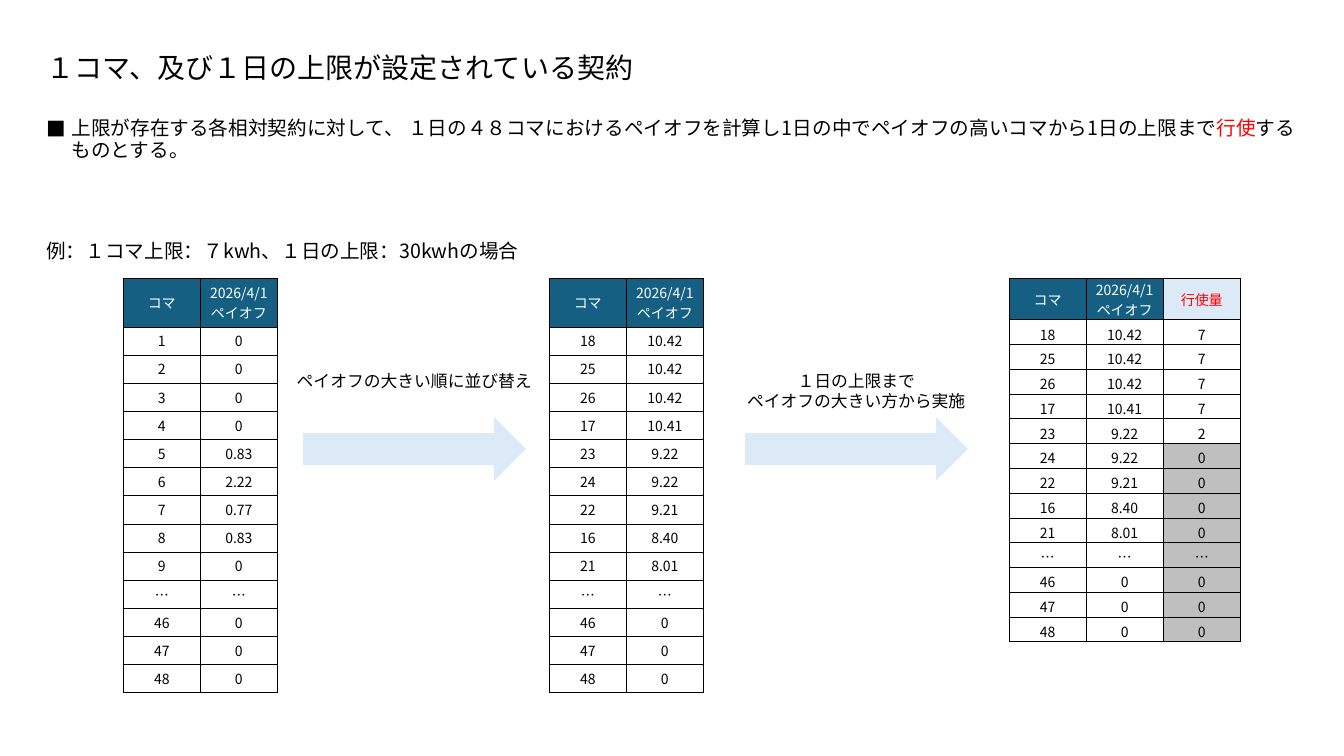
from lxml import etree
from pptx import Presentation
from pptx import util as u
from pptx.dml.color import RGBColor
from pptx.enum import shapes, text
from pptx.oxml.ns import qn

FONT = "Noto Sans CJK JP"
BLACK, WHITE, RED = "000000", "FFFFFF", "FF0000"
NAVY, PALE, GREY = "156082", "DCEAF7", "BFBFBF"
CENTER, LEFT = text.PP_ALIGN.CENTER, text.PP_ALIGN.LEFT
MIDDLE, TOP = text.MSO_ANCHOR.MIDDLE, text.MSO_ANCHOR.TOP

TABLE_TOP, COLUMN_WIDTH = 199, 55.1
ROOMY = {"header": 34.4, "row": 20.1, "header_margins": (2.88, 2.88), "row_margins": (2.88, 2.88)}
COMPACT = {"header": 29.3, "row": 17.7, "header_margins": (0, 0), "row_margins": (2.88, 0)}

HEADINGS = ["コマ", "2026/4/1\nペイオフ"]
LAST_SLOTS = [("…", "…"), ("46", "0"), ("47", "0"), ("48", "0")]
BY_TIME = list(zip("123456789", "0 0 0 0 0.83 2.22 0.77 0.83 0".split())) + LAST_SLOTS
BY_PAYOFF = list(zip(
    "18 25 26 17 23 24 22 16 21".split(),
    "10.42 10.42 10.42 10.41 9.22 9.22 9.21 8.40 8.01".split(),
)) + LAST_SLOTS
EXERCISED = "7 7 7 7 2 0 0 0 0 … 0 0 0".split()
EXERCISED_SLOTS = 5


def rgb(value):
    return RGBColor.from_string(value)


def set_all(target, formats):
    for name, value in formats.items():
        setattr(target, name, value)


def format_run(run, size, color):
    set_all(run.font, {"size": u.Pt(size), "name": FONT, "bold": False})
    run.font.color.rgb = rgb(color)
    east_asian = etree.SubElement(run.font._element, qn("a:ea"))
    east_asian.set("typeface", FONT)


def write(frame, wording, size, color=BLACK, align=LEFT):
    frame.text = wording
    for paragraph in frame.paragraphs:
        paragraph.alignment = align
        for run in paragraph.runs:
            format_run(run, size, color)


def add_text_frame(slide, box, wrap=True):
    frame = slide.shapes.add_textbox(*map(u.Pt, box)).text_frame
    set_all(frame, {"word_wrap": wrap, "vertical_anchor": TOP})
    return frame


def add_heading(slide, box):
    heading = slide.shapes.title
    set_all(heading, dict(zip(("left", "top", "width", "height"), map(u.Pt, box))))
    write(heading.text_frame, "１コマ、及び１日の上限が設定されている契約", 20)
    set_all(heading.text_frame, {"vertical_anchor": MIDDLE, "auto_size": text.MSO_AUTO_SIZE.NONE})
    heading.text_frame.paragraphs[0].line_spacing = 0.9


def add_rule(slide, box):
    rule = add_text_frame(slide, box).paragraphs[0]
    set_all(rule, {"line_spacing": 0.9, "space_before": u.Pt(10)})
    properties = rule._p.get_or_add_pPr()
    properties.set("marL", str(u.Pt(18)))
    properties.set("indent", str(u.Pt(-18)))
    etree.SubElement(properties, qn("a:buFont")).set("typeface", FONT)
    etree.SubElement(properties, qn("a:buChar")).set("char", "■")
    for wording, color in (
        ("上限が存在する各相対契約に対して、 １日の４８コマにおけるペイオフを計算し1日の中で"
         "ペイオフの高いコマから1日の上限まで", BLACK),
        ("行使", RED),
        ("するものとする。", BLACK),
    ):
        run = rule.add_run()
        run.text = wording
        format_run(run, 14, color)


def add_borders(cell):
    properties = cell._tc.get_or_add_tcPr()
    for side in ("a:lnL", "a:lnR", "a:lnT", "a:lnB"):
        line = etree.SubElement(properties, qn(side), w=str(u.Pt(0.25)))
        fill = etree.SubElement(line, qn("a:solidFill"))
        etree.SubElement(fill, qn("a:srgbClr"), val=BLACK)


def cell_colors(row, column):
    if row == 0:
        return (PALE, RED) if column == 2 else (NAVY, WHITE)
    if column == 2 and row > EXERCISED_SLOTS:
        return GREY, BLACK
    return WHITE, BLACK


def add_payoff_table(slide, left, headings, slots, sizing):
    rows = [headings, *slots]
    heights = [sizing["header"]] + [sizing["row"]] * len(slots)
    box = (left, TABLE_TOP, COLUMN_WIDTH * len(headings), sum(heights))
    table = slide.shapes.add_table(len(rows), len(headings), *map(u.Pt, box)).table
    set_all(table, {"first_row": False, "horz_banding": False})
    for column in table.columns:
        column.width = u.Pt(COLUMN_WIDTH)
    for r, (values, height) in enumerate(zip(rows, heights)):
        table.rows[r].height = u.Pt(height)
        above, below = sizing["row_margins" if r else "header_margins"]
        for c, value in enumerate(values):
            cell = table.cell(r, c)
            fill, color = cell_colors(r, c)
            set_all(cell, {
                "vertical_anchor": MIDDLE,
                "margin_left": u.Pt(2.88), "margin_right": u.Pt(2.88),
                "margin_top": u.Pt(above), "margin_bottom": u.Pt(below),
            })
            add_borders(cell)
            cell.fill.solid()
            cell.fill.fore_color.rgb = rgb(fill)
            write(cell.text_frame, value, 10, color, CENTER)


def add_step(slide, arrow_left, label_box, wording):
    arrow = slide.shapes.add_shape(
        shapes.MSO_SHAPE.RIGHT_ARROW, *map(u.Pt, (arrow_left, 298, 159.1, 45.4)))
    arrow.shadow.inherit = False
    arrow.fill.solid()
    arrow.fill.fore_color.rgb = rgb(PALE)
    arrow.line.fill.background()
    label = add_text_frame(slide, label_box, wrap=False)
    write(label, wording, 12, align=CENTER)
    label.auto_size = text.MSO_AUTO_SIZE.SHAPE_TO_FIT_TEXT


def add_example(slide, box):
    write(add_text_frame(slide, box), "例：１コマ上限：７kwh、１日の上限：30kwhの場合", 14)


def build_slide(deck):
    slide = deck.slides.add_slide(deck.slide_layouts[5])
    add_heading(slide, (26, 28.8, 908, 41))
    add_rule(slide, (26, 81.4, 908, 75.6))
    add_payoff_table(slide, 88, HEADINGS, BY_TIME, ROOMY)
    add_payoff_table(slide, 392.3, HEADINGS, BY_PAYOFF, ROOMY)
    add_step(slide, 216.6, (203.8, 261.4, 184.3, 21.6), "ペイオフの大きい順に並び替え")
    add_step(slide, 532.2, (525.6, 261.4, 172.1, 36), "１日の上限まで\nペイオフの大きい方から実施")
    allocated = [(*slot, amount) for slot, amount in zip(BY_PAYOFF, EXERCISED)]
    add_payoff_table(slide, 720.7, HEADINGS + ["行使量"], allocated, COMPACT)
    add_example(slide, (26, 167, 514, 24.5))


def main():
    deck = Presentation()
    set_all(deck, {"slide_width": u.Pt(960), "slide_height": u.Pt(540)})
    build_slide(deck)
    deck.save("out.pptx")


if __name__ == "__main__":
    main()
